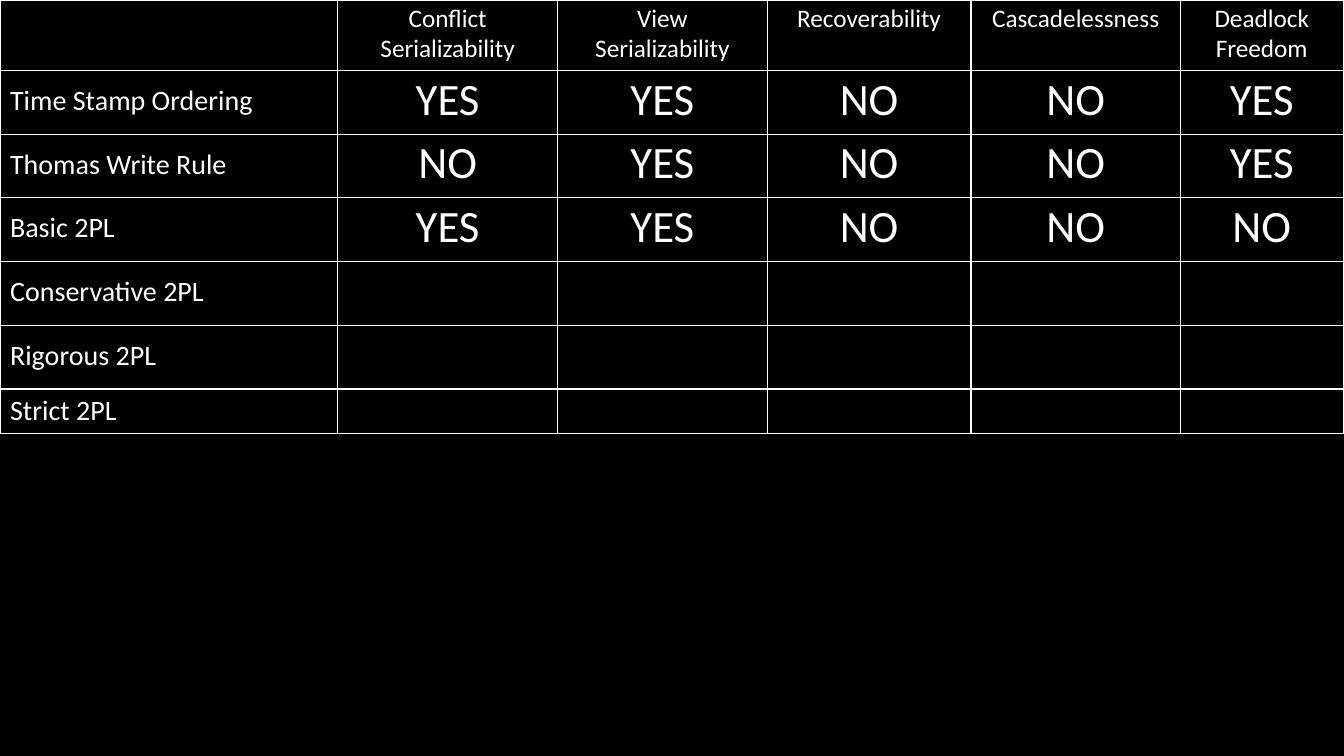
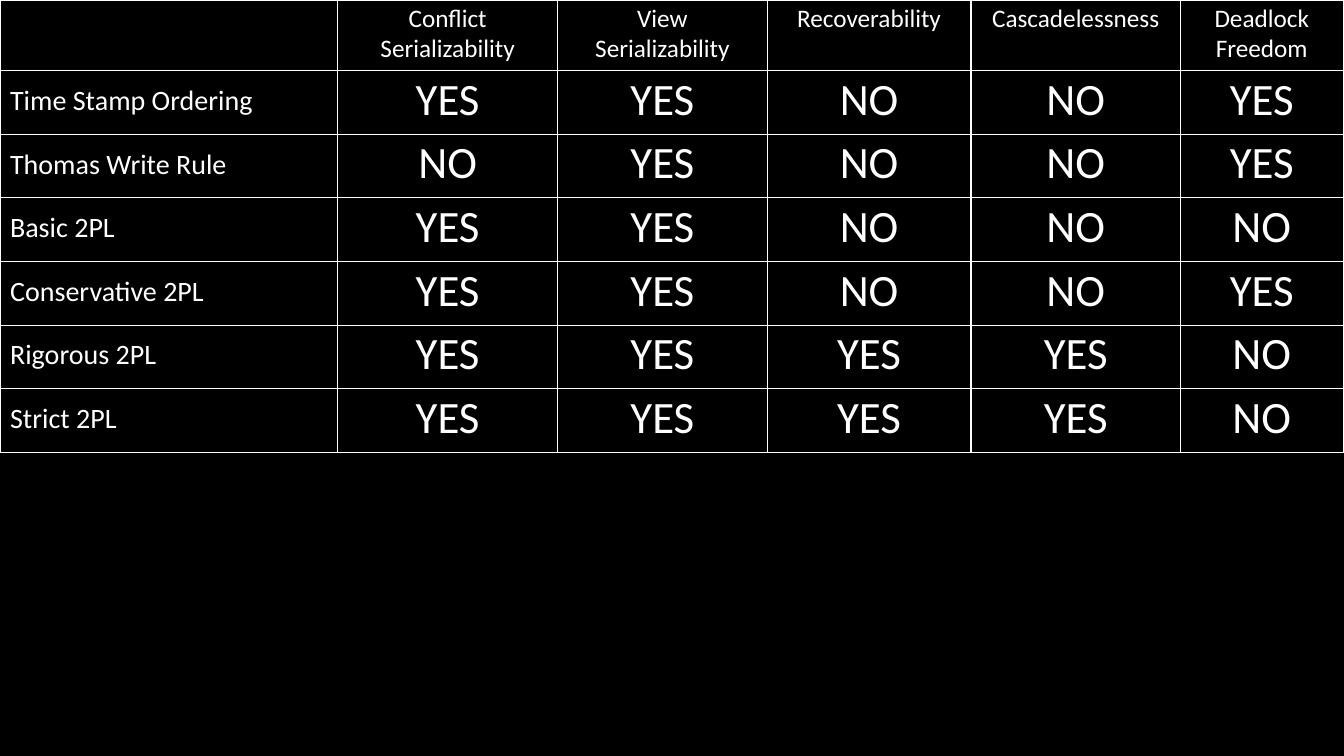
from lxml import etree
from pptx import Presentation
from pptx.dml.color import RGBColor
from pptx.enum.shapes import MSO_CONNECTOR
from pptx.enum.text import PP_ALIGN
from pptx.oxml.ns import qn
from pptx.util import Inches, Pt

STRAIGHT = MSO_CONNECTOR.STRAIGHT
LEFT, CENTER = PP_ALIGN.LEFT, PP_ALIGN.CENTER

COLORS = {"background": "000000", "ink": "FFFFFF"}
FONT = "Calibri"
BLANK_LAYOUT = 6
INNER_LINE, OUTER_LINE = 1, 0.5

COLUMN_WIDTHS = [3.35, 2.18, 2.08, 2.02, 2.08, 1.61]
HEADER_HEIGHT = 0.7
FULL_HEIGHT = 4.49
OPEN_HEIGHT = 4.3

HEADER_CELL = {"size": 18, "align": CENTER, "top": 0.03, "indent": 0}
LABEL_CELL = {"size": 20, "align": LEFT, "top": 0.13, "indent": 0.1}
ANSWER_CELL = {"size": 32, "align": CENTER, "top": 0.02, "indent": 0}

HEADERS = [
    "",
    "Conflict\nSerializability",
    "View\nSerializability",
    "Recoverability",
    "Cascadelessness",
    "Deadlock\nFreedom",
]
PROTOCOLS = {
    "Time Stamp Ordering": "YES YES NO NO YES",
    "Thomas Write Rule": "NO YES NO NO YES",
    "Basic 2PL": "YES YES NO NO NO",
    "Conservative 2PL": "YES YES NO NO YES",
    "Rigorous 2PL": "YES YES YES YES NO",
    "Strict 2PL": "YES YES YES YES NO",
}
ROW_HEIGHT = (FULL_HEIGHT - HEADER_HEIGHT) / len(PROTOCOLS)
ANSWERED = 3
OPEN_LABEL_GAPS = [0, 21.6, 14.4]


def row_top(index):
    return HEADER_HEIGHT + index * ROW_HEIGHT


class SlideBuilder:
    def __init__(self):
        self.deck = Presentation()
        self.deck.slide_width = Inches(13.33)
        self.deck.slide_height = Inches(7.5)
        fill = self.deck.slide_master.background.fill
        fill.solid()
        fill.fore_color.rgb = self.color("background")
        self.page = None

    def color(self, name):
        return RGBColor.from_string(COLORS[name])

    def new_page(self):
        self.page = self.deck.slides.add_slide(self.deck.slide_layouts[BLANK_LAYOUT])

    def rule(self, top):
        line = self.page.shapes.add_connector(
            STRAIGHT, 0, Inches(top), self.deck.slide_width, Inches(top)
        )
        line.line.color.rgb = self.color("ink")
        line.line.width = Pt(INNER_LINE)
        properties = line._element.spPr
        etree.SubElement(properties, qn("a:effectLst"))

    def border(self, cell, widths):
        properties = cell._tc.get_or_add_tcPr()
        for side, width in widths.items():
            edge = etree.SubElement(properties, qn(f"a:ln{side}"), w=str(Pt(width)))
            fill = etree.SubElement(edge, qn("a:solidFill"))
            etree.SubElement(fill, qn("a:srgbClr"), val=COLORS["ink"])

    def cell_text(self, cell, text, style, gaps):
        margins = {
            "margin_left": 0,
            "margin_right": 0,
            "margin_top": Inches(style["top"]),
            "margin_bottom": 0,
        }
        for name, value in margins.items():
            setattr(cell, name, value)
        cell.text = text
        font = {"name": FONT, "size": Pt(style["size"]), "bold": False}
        for index, para in enumerate(cell.text_frame.paragraphs):
            para.alignment = style["align"]
            if style["indent"]:
                para._p.get_or_add_pPr().set("marL", str(Inches(style["indent"])))
            if index and gaps:
                para.space_before = Pt(gaps[index])
            for span in para.runs:
                for name, value in font.items():
                    setattr(span.font, name, value)
                span.font.color.rgb = self.color("ink")

    def table(self, rows, heights, label_gaps=None):
        last_row, last_column = len(rows) - 1, len(COLUMN_WIDTHS) - 1
        frame = self.page.shapes.add_table(
            len(rows), len(COLUMN_WIDTHS), 0, 0,
            Inches(sum(COLUMN_WIDTHS)), Inches(sum(heights)),
        )
        grid = frame.table
        grid.first_row = grid.horz_banding = False
        for column, width in zip(grid.columns, COLUMN_WIDTHS):
            column.width = Inches(width)
        for r, (texts, height) in enumerate(zip(rows, heights)):
            grid.rows[r].height = Inches(height)
            for c, text in enumerate(texts):
                cell = grid.cell(r, c)
                self.border(cell, {
                    "L": INNER_LINE if c else OUTER_LINE,
                    "R": INNER_LINE if c < last_column else OUTER_LINE,
                    "T": INNER_LINE if r else OUTER_LINE,
                    "B": INNER_LINE,
                })
                cell.fill.background()
                style = HEADER_CELL if r == 0 else ANSWER_CELL if c else LABEL_CELL
                gaps = label_gaps if r == last_row and c == 0 else None
                self.cell_text(cell, text, style, gaps)


def main():
    builder = SlideBuilder()
    labels = list(PROTOCOLS)
    rows = [HEADERS] + [[label, *PROTOCOLS[label].split()] for label in labels]

    builder.new_page()
    for index in range(ANSWERED + 1, len(labels)):
        builder.rule(row_top(index))
    open_row = ["\n".join(labels[ANSWERED:])] + [""] * (len(COLUMN_WIDTHS) - 1)
    builder.table(
        rows[:ANSWERED + 1] + [open_row],
        [HEADER_HEIGHT] + [ROW_HEIGHT] * ANSWERED + [OPEN_HEIGHT - row_top(ANSWERED)],
        OPEN_LABEL_GAPS,
    )

    builder.new_page()
    builder.table(rows, [HEADER_HEIGHT] + [ROW_HEIGHT] * len(labels))

    builder.deck.save("out.pptx")


if __name__ == "__main__":
    main()
